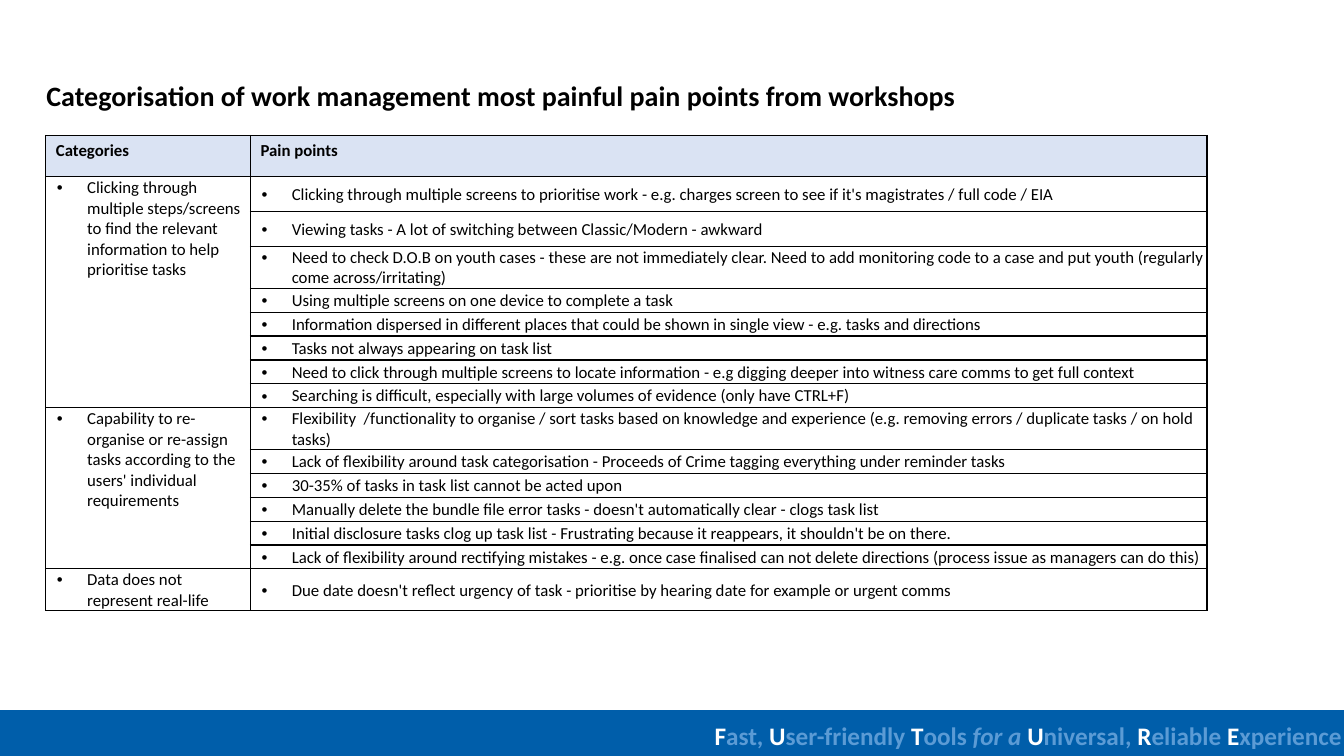
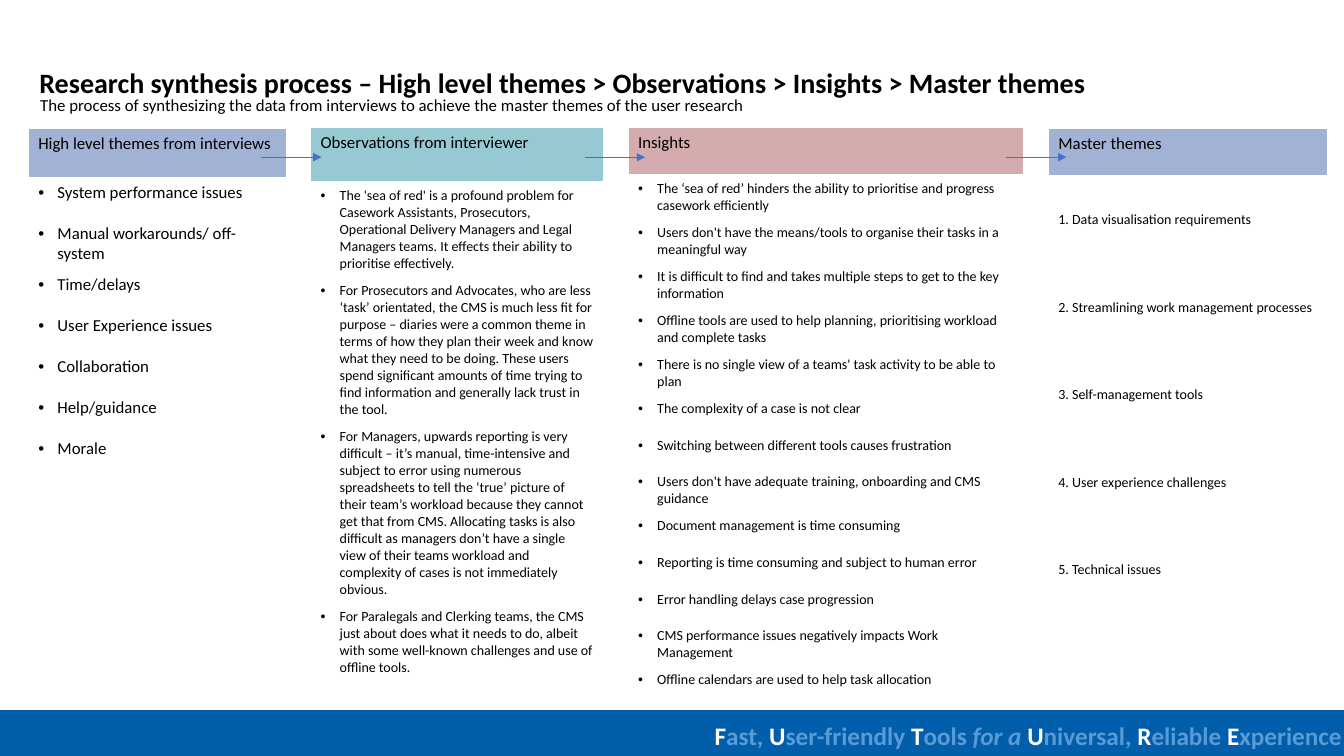
from itertools import accumulate

from lxml.etree import SubElement
from pptx import Presentation
from pptx.dml.color import RGBColor
from pptx.enum.shapes import MSO_CONNECTOR as Connector, MSO_SHAPE as Shape
from pptx.enum.text import MSO_ANCHOR as Anchor, MSO_AUTO_SIZE as AutoSize, PP_ALIGN as Align
from pptx.oxml import parse_xml
from pptx.oxml.ns import nsdecls, qn
from pptx.util import Inches, Pt

COLOURS = {
    "text": "000000", "white": "FFFFFF", "band": "005EAA", "motto": "5B9BD5",
    "header": "DAE3F3", "blue": "A1B2D4", "teal": "97C9D3", "rose": "D5ACAE",
    "arrow": "4472C4",
}
FONT = "Calibri"
COLUMNS, ROWS = 133.33, 75  # grid of tenths of an inch
TITLE_ONLY = 5

MOTTO = [("F", "ast, "), ("U", "ser-friendly "), ("T", "ools "), ("", "for a "),
         ("U", "niversal, "), ("R", "eliable "), ("E", "xperience")]

PAIN_POINTS = [
    ("Clicking through multiple steps/screens to find the relevant information to help prioritise tasks", [
        "Clicking through multiple screens to prioritise work - e.g. charges screen to see if it's magistrates / full code / EIA",
        "Viewing tasks - A lot of switching between Classic/Modern - awkward",
        "Need to check D.O.B on youth cases - these are not immediately clear. Need to add monitoring code to a case "
        "and put youth (regularly come across/irritating)",
        "Using multiple screens on one device to complete a task",
        "Information dispersed in different places that could be shown in single view - e.g. tasks and directions",
        "Tasks not always appearing on task list",
        "Need to click through multiple screens to locate information - e.g digging deeper into witness care comms to get full context",
        "Searching is difficult, especially with large volumes of evidence (only have CTRL+F)",
    ]),
    ("Capability to re-organise or re-assign tasks according to the users' individual requirements", [
        "Flexibility  /functionality to organise / sort tasks based on knowledge and experience "
        "(e.g. removing errors / duplicate tasks / on hold tasks)",
        "Lack of flexibility around task categorisation - Proceeds of Crime tagging everything under reminder tasks",
        "30-35% of tasks in task list cannot be acted upon",
        "Manually delete the bundle file error tasks - doesn't automatically clear - clogs task list",
        "Initial disclosure tasks clog up task list - Frustrating because it reappears, it shouldn't be on there.",
        "Lack of flexibility around rectifying mistakes - e.g. once case finalised can not delete directions "
        "(process issue as managers can do this)",
    ]),
    ("Data does not represent real-life", [
        "Due date doesn't reflect urgency of task - prioritise by hearing date for example or urgent comms",
    ]),
]

THEMES = ["System performance issues", "Manual workarounds/ off-system", "Time/delays",
          "User Experience issues", "Collaboration", "Help/guidance", "Morale"]

OBSERVATIONS = [
    "The 'sea of red' is a profound problem for Casework Assistants, Prosecutors, Operational Delivery "
    "Managers and Legal Managers teams. It effects their ability to prioritise effectively.",
    "For Prosecutors and Advocates, who are less ‘task’ orientated, the CMS is much less fit for purpose – diaries "
    "were a common theme in terms of how they plan their week and know what they need to be doing. "
    "These users spend significant amounts of time trying to find information and generally lack trust in the tool.",
    "For Managers, upwards reporting is very difficult – it’s manual, time-intensive and subject to error using "
    "numerous spreadsheets to tell the ‘true’ picture of their team’s workload because they cannot get that from "
    "CMS. Allocating tasks is also difficult as managers don’t have a single view of their teams workload and "
    "complexity of cases is not immediately obvious.",
    "For Paralegals and Clerking teams, the CMS just about does what it needs to do, albeit with some "
    "well-known challenges and use of offline tools.",
]

INSIGHTS = [
    "The ‘sea of red’ hinders the ability to prioritise and progress casework efficiently",
    "Users don't have the means/tools to organise their tasks in a meaningful way",
    "It is difficult to find and takes multiple steps to get to the key information",
    "Offline tools are used to help planning, prioritising workload and complete tasks",
    "There is no single view of a teams' task activity to be able to plan",
    "The complexity of a case is not clear",
    "Switching between different tools causes frustration",
    "Users don't have adequate training, onboarding and CMS guidance",
    "Document management is time consuming",
    "Reporting is time consuming and subject to human error",
    "Error handling delays case progression",
    "CMS performance issues negatively impacts Work Management",
    "Offline calendars are used to help task allocation",
]

MASTER_THEMES = ["1. Data visualisation requirements", "2. Streamlining work management processes",
                 "3. Self-management tools", "4. User experience challenges", "5. Technical issues"]


def grid(*cells):
    """Turn grid counts into lengths."""
    return [Inches(count / 10) for count in cells]


def colour(key):
    return RGBColor.from_string(COLOURS[key])


class Deck:
    """The shared style and the slide being built."""

    def __init__(self):
        self.prs = Presentation()
        self.prs.slide_width, self.prs.slide_height = grid(COLUMNS, ROWS)
        self.layout = self.prs.slide_layouts[TITLE_ONLY]
        self.slide = None

    def new_slide(self, title, left, top, width):
        first = self.slide is None
        self.slide = self.prs.slides.add_slide(self.layout)
        if first:
            self.footer()
        heading = self.slide.shapes.title
        heading.left, heading.top, heading.width, heading.height = grid(left, top, width, 4.4)
        frame = heading.text_frame
        frame.text = title
        frame.auto_size = AutoSize.NONE
        frame.vertical_anchor = Anchor.TOP
        frame.paragraphs[0].alignment = Align.LEFT
        self.style(frame.paragraphs[0].font, 20, bold=True)

    def footer(self):
        """Draw the motto band and hand it to the layout, so every slide shows it."""
        band = self.slide.shapes.add_shape(Shape.RECTANGLE, *grid(0, 70.5, COLUMNS, 4.5))
        band.shadow.inherit = False
        band.fill.solid()
        band.fill.fore_color.rgb = band.line.color.rgb = colour("band")
        band.line.width = Pt(1)
        left = 69.9
        motto = self.slide.shapes.add_textbox(*grid(left, 71, COLUMNS - left, 4))
        motto.text_frame.word_wrap = False
        motto.text_frame.margin_right = 0
        line = motto.text_frame.paragraphs[0]
        for initial, rest in MOTTO:
            for part, key in ((initial, "white"), (rest, "motto")):
                if part:
                    run = line.add_run()
                    run.text = part
                    self.style(run.font, 18, key, bold=True)
                    run.font.italic = not initial
        for part in (band, motto):
            self.layout.shapes.element.append(part.element)

    def style(self, font, size, key="text", bold=False):
        font.name, font.size, font.bold = FONT, Pt(size), bold
        font.color.rgb = colour(key)

    def text(self, words, left, top, width, height, size=12):
        frame = self.slide.shapes.add_textbox(*grid(left, top, width, height)).text_frame
        frame.word_wrap = True
        frame.text = words
        self.style(frame.paragraphs[0].font, size)

    def table(self, left, top, widths, heights):
        frame = self.slide.shapes.add_table(
            len(heights), len(widths), *grid(left, top, sum(widths), sum(heights)))
        table = frame.table
        table.first_row = table.horz_banding = False
        for column, width in zip(table.columns, grid(*widths)):
            column.width = width
        for row, height in zip(table.rows, grid(*heights)):
            row.height = height
        return table

    def cell(self, cell, words, size=12, fill="white", bold=False, indent=0, hang=0):
        """Fill one cell; an indent in grid columns makes it a bullet."""
        cell.fill.solid()
        cell.fill.fore_color.rgb = colour(fill)
        cell.text_frame.text = words
        paragraph = cell.text_frame.paragraphs[0]
        if indent:
            props = paragraph._p.get_or_add_pPr()
            margin, hanging = grid(indent, hang or indent)
            props.set("marL", str(margin))
            props.set("indent", str(-hanging))
            SubElement(props, qn("a:buFont")).set("typeface", "Arial")
            SubElement(props, qn("a:buChar")).set("char", "•")
        self.style(paragraph.font, size, bold=bold)
        return paragraph

    def tight(self, cell):
        cell.margin_left = cell.margin_right = cell.margin_top = Inches(0.01)
        cell.margin_bottom = 0

    def borders(self, table):
        for cell in table.iter_cells():
            props = cell._tc.get_or_add_tcPr()
            for place, side in enumerate("LRTB"):
                props.insert(place, parse_xml(
                    f'<a:ln{side} {nsdecls("a")} w="{Pt(1)}"><a:solidFill>'
                    f'<a:srgbClr val="{COLOURS["text"]}"/></a:solidFill></a:ln{side}>'))

    def arrow(self, left, top, length=6):
        arrow = self.slide.shapes.add_connector(
            Connector.STRAIGHT, *grid(left, top, left + length, top))
        arrow.line.color.rgb = colour("arrow")
        arrow.line.width = Pt(0.5)
        SubElement(arrow.line._get_or_add_ln(), qn("a:tailEnd")).set("type", "triangle")
        SubElement(arrow.element.spPr, qn("a:effectLst"))


def pain_points_slide(deck):
    deck.new_slide("Categorisation of work management most painful pain points from workshops",
                   3.6, 7.3, 114.2)
    counts = [len(points) for _, points in PAIN_POINTS]
    heights = [4.1, 3.45, 3.45] + [2.37] * (sum(counts) - 2)
    table = deck.table(4.55, 13.45, [20.3, 94.9], heights)
    for column, label in enumerate(("Categories", "Pain points")):
        deck.cell(table.cell(0, column), label, fill="header", bold=True)
    starts = accumulate(counts[:-1], initial=1)
    for start, (category, points) in zip(starts, PAIN_POINTS):
        group = table.cell(start, 0)
        if len(points) > 1:
            group.merge(table.cell(start + len(points) - 1, 0))
        deck.cell(group, category, indent=4, hang=3)
        deck.tight(group)
        for row, point in enumerate(points, start):
            cell = table.cell(row, 1)
            deck.cell(cell, point, indent=4, hang=3).space_after = Pt(2)
            deck.tight(cell)
            cell.vertical_anchor = Anchor.MIDDLE
    deck.borders(table)


def synthesis_slide(deck):
    deck.new_slide("Research synthesis process – High level themes > Observations > Insights > Master themes",
                   2.9, 6, 115)
    # heading, fill, left, top, width, header height, row height, text size, bullet indent, items
    stages = [
        ("High level themes from interviews", "blue", 2.8, 12.75, 25.6, 4.85, 4.07, 12, 1.9, THEMES),
        ("Observations from interviewer", "teal", 30.8, 12.65, 29.1, 5.4, 4.1, 10, 1.9, OBSERVATIONS),
        ("Insights", "rose", 62.3, 12.65, 39.2, 4.7, 3.63, 10, 1.9, INSIGHTS),
        ("Master themes", "blue", 104, 12.75, 27.7, 4.7, 8.69, 10, 0, MASTER_THEMES),
    ]
    for heading, fill, left, top, width, header, height, size, indent, items in stages:
        table = deck.table(left, top, [width], [header] + [height] * len(items))
        deck.cell(table.cell(0, 0), heading, fill=fill)
        for row, item in enumerate(items, 1):
            cell = table.cell(row, 0)
            deck.cell(cell, item, size, indent=indent)
            if not indent:
                cell.vertical_anchor = Anchor.MIDDLE
    for left in (25.9, 58, 99.8):
        deck.arrow(left, 15.6)
    deck.text("The process of synthesizing the data from interviews to achieve the master themes of the user research",
              3, 8.9, 116.1, 3)


def main():
    deck = Deck()
    pain_points_slide(deck)
    synthesis_slide(deck)
    deck.prs.save("out.pptx")


if __name__ == "__main__":
    main()
